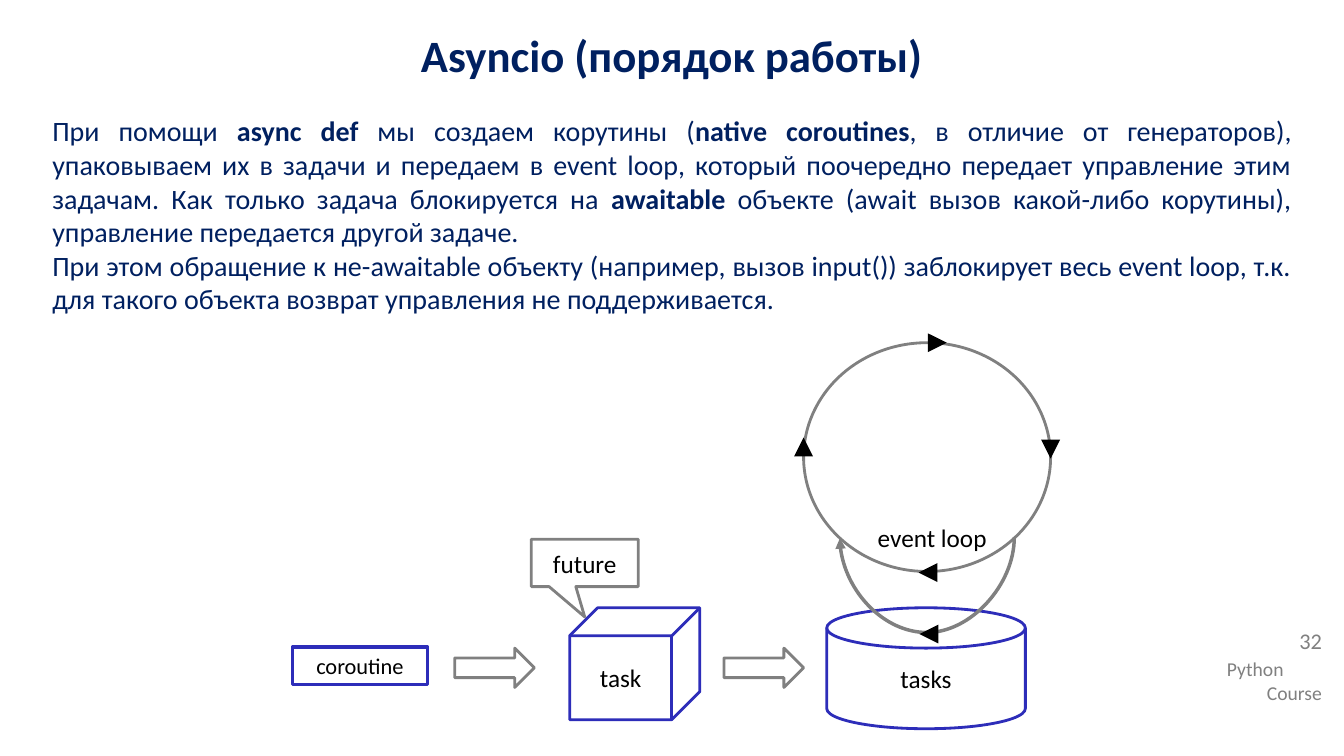
import pptx
import pptx.util
import pptx.oxml
import pptx.dml.color
import pptx.enum.shapes
import pptx.enum.text

Inches = pptx.util.Inches
KIND = pptx.enum.shapes.MSO_SHAPE
LINK = pptx.enum.shapes.MSO_CONNECTOR
ALIGN = pptx.enum.text.PP_ALIGN
ANCHOR = pptx.enum.text.MSO_ANCHOR
NS = 'xmlns:a="http://schemas.openxmlformats.org/drawingml/2006/main"'
NAVY, BLUE, GRAY, BLACK, WHITE = "002060", "2D2DB9", "808080", "000000", "FFFFFF"


def color(code):
    return pptx.dml.color.RGBColor.from_string(code)


class Deck:
    font = "Calibri"

    def __init__(self):
        self.show = pptx.Presentation()
        self.show.slide_width = Inches(13.33)
        self.show.slide_height = Inches(7.5)
        self.slide = self.show.slides.add_slide(self.show.slide_layouts[6])

    def label(self, frame, lines, size, ink, align, bold=None):
        frame.word_wrap = True
        for i, line in enumerate(lines):
            para = frame.paragraphs[0] if i == 0 else frame.add_paragraph()
            para.alignment = align
            para.font.name = self.font
            para.font.size = pptx.util.Pt(size)
            para.font.color.rgb = color(ink)
            para.font.bold = bold
            for j, part in enumerate(line.split("**")):
                run = para.add_run()
                run.text = part
                if j % 2:
                    run.font.bold = True
        return frame

    def text(self, box, lines, size, ink, align, bold=None):
        item = self.slide.shapes.add_textbox(*map(Inches, box))
        return self.label(item.text_frame, lines, size, ink, align, bold)

    def shape(self, kind, box, ink, text=None, size=18, width=2, fill=None):
        item = self.slide.shapes.add_shape(kind, *map(Inches, box))
        item.shadow.inherit = False
        if fill:
            item.fill.solid()
            item.fill.fore_color.rgb = color(fill)
        else:
            item.fill.background()
        item.line.color.rgb = color(ink)
        item.line.width = pptx.util.Pt(width)
        if text:
            frame = self.label(item.text_frame, [text], size, BLACK, ALIGN.CENTER)
            frame.vertical_anchor = ANCHOR.MIDDLE
        return item

    def arrow(self, start, end, ink, width, kind=LINK.STRAIGHT):
        item = self.slide.shapes.add_connector(kind, *map(Inches, start + end))
        item.line.color.rgb = color(ink)
        item.line.width = pptx.util.Pt(width)
        prop = item._element.spPr
        tip = pptx.oxml.parse_xml(f'<a:tailEnd {NS} type="triangle"/>')
        prop.get_or_add_ln().append(tip)
        prop.append(pptx.oxml.parse_xml(f"<a:effectLst {NS}/>"))
        return item

    def curve(self, start, end, bend, ink, width):
        item = self.arrow(start, end, ink, width, LINK.CURVE)
        prop = item._element.spPr
        prop.xfrm.set("rot", "5400000")
        guide = f'<a:gd {NS} name="adj1" fmla="val {round(bend * 100000)}"/>'
        prop.prstGeom.get_or_add_avLst().append(pptx.oxml.parse_xml(guide))


def main():
    deck = Deck()
    mark = deck.text((12.07, 6.47, 1.14, 0.57), ["Python", "Course"], 14, GRAY, ALIGN.RIGHT)
    mark.paragraphs[0].alignment = ALIGN.LEFT
    page = deck.text((12.07, 6.2, 1.14, 0.45), ["32"], 16, GRAY, ALIGN.RIGHT)
    page.paragraphs[0].line_spacing = 0.9
    deck.text((0, 0.23, 13.33, 0.76), ["Asyncio (порядок работы)"], 32, NAVY, ALIGN.CENTER, True)
    deck.text((0.42, 1.08, 12.49, 6.23), [
        "При помощи **async def **мы создаем корутины (**native coroutines**, "
        "в отличие от генераторов), упаковываем их в задачи и передаем в event loop, "
        "который поочередно передает управление этим задачам. Как только задача "
        "блокируется на **awaitable **объекте (await вызов какой-либо корутины), "
        "управление передается другой задаче.",
        "При этом обращение к не-awaitable объекту (например, вызов input()) "
        "заблокирует весь event loop, т.к. для такого объекта возврат управления "
        "не поддерживается.",
    ], 20, NAVY, ALIGN.JUSTIFY)

    deck.shape(KIND.FLOWCHART_MAGNETIC_DISK, (8.2, 6.03, 1.97, 1.2), BLUE, "tasks")
    for left in (4.51, 7.18):
        deck.shape(KIND.RIGHT_ARROW, (left, 6.43, 0.79, 0.39), GRAY)
    deck.shape(KIND.OVAL, (7.97, 3.4, 2.45, 2.27), GRAY, fill=WHITE)
    deck.curve((9.19, 4.47), (9.2, 6.2), 96, GRAY, 2.5)
    for start, end in (
        ((9.23, 3.4), (9.39, 3.4)),
        ((10.42, 4.43), (10.42, 4.55)),
        ((7.97, 4.43), (7.97, 4.34)),
        ((9.19, 5.68), (9.11, 5.68)),
        ((9.19, 6.29), (9.12, 6.29)),
    ):
        deck.arrow(start, end, BLACK, 4.5)
    deck.shape(KIND.CUBE, (5.65, 6.03, 1.29, 1.11), BLUE, "task")
    deck.shape(KIND.RECTANGLE, (2.9, 6.42, 1.34, 0.37), BLUE, "coroutine", 16, 2.5)
    note = deck.shape(KIND.RECTANGULAR_CALLOUT, (5.27, 5.35, 1.06, 0.47), GRAY, "future")
    note.adjustments[0] = 0
    note.adjustments[1] = 1.14
    deck.text((8.45, 5.13, 1.59, 0.4), ["event loop"], 18, BLACK, ALIGN.CENTER)
    deck.show.save("out.pptx")


if __name__ == "__main__":
    main()
